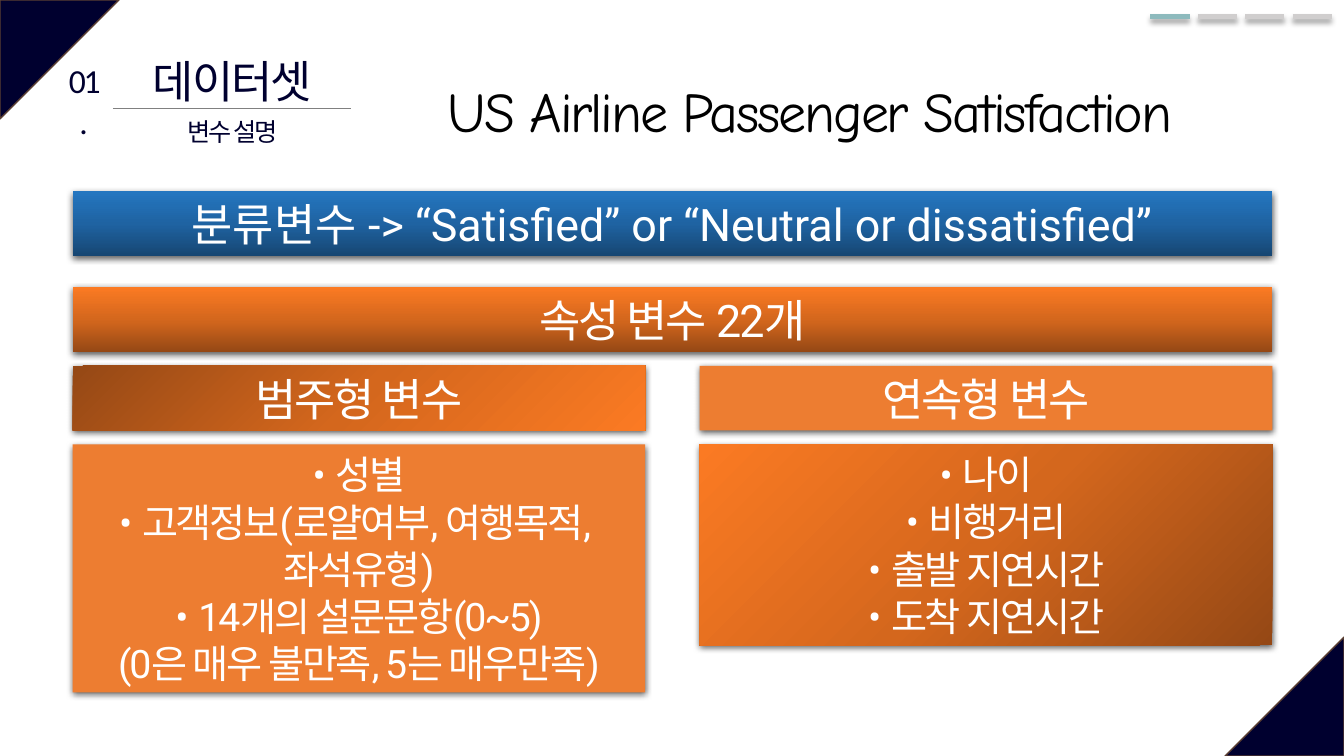
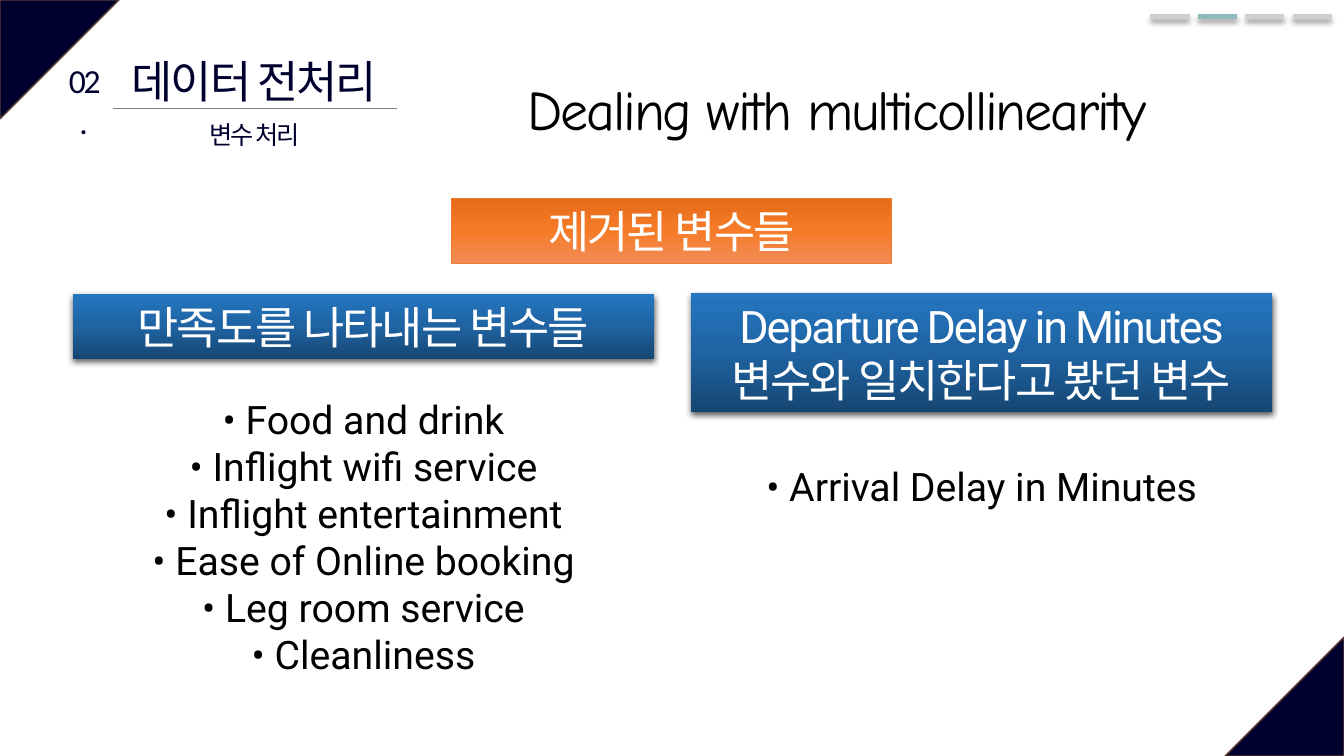
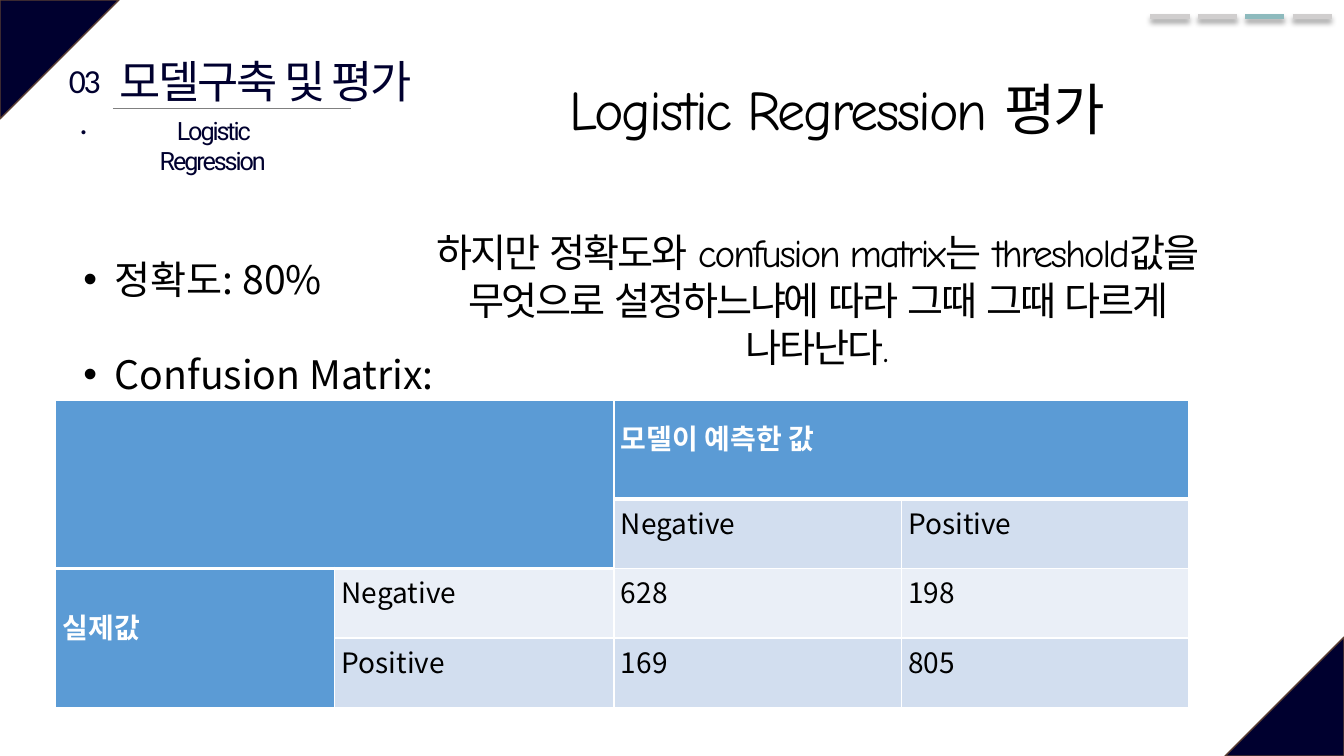
from copy import deepcopy

from lxml.etree import SubElement
from pptx import Presentation
from pptx.dml.color import RGBColor
from pptx.enum.shapes import MSO_CONNECTOR, MSO_SHAPE
from pptx.enum.text import MSO_ANCHOR, PP_ALIGN
from pptx.oxml.ns import qn
from pptx.util import Pt

PX = 9144  # EMU in one px, 100 px to the inch


class Theme:
    navy, brown, gray = "00002F", "5B3F33", "808080"
    tick_on, tick_off = "8DBABD", "D0CECE"
    black, white, orange = "000000", "FFFFFF", "ED7D31"
    blue_grad = ("164672", "1F63A2", "2476C0")
    orange_grad = ("954815", "D4671D", "FB7A23")
    soft_grad = ("F18C57", "F67B28", "E56C19")
    table_head, table_dark, table_light = "5B9BD5", "D2DEEF", "EAEFF7"
    body_font, title_font, table_font = "Roboto", "Comic Neue", "Noto Sans CJK KR"
    section_font, number_font = "Arial Narrow", "Calibri"
    title, bar, body, number, cell, sub = 40, 32, 28, 24, 20, 18
    tight = -1.5
    bar_shadow, tick_shadow = (63, 4.5, 1.5), (40, 4, 3)


def write(tf, lines, size, color, font=Theme.body_font, spacing=Theme.tight,
          align=PP_ALIGN.CENTER, bold=False):
    """Fill a text frame; a line is a string or a list of (text, letter spacing)."""
    tf.word_wrap = True
    for i, line in enumerate(lines):
        p = tf.add_paragraph() if i else tf.paragraphs[0]
        p.alignment = align
        for text, spc in [(line, spacing)] if isinstance(line, str) else line:
            r = p.add_run()
            r.text = text
            r.font.size, r.font.name, r.font.bold = Pt(size), font, bold
            r.font.color.rgb = RGBColor.from_string(color)
            rPr = r.font._element
            rPr.set("spc", str(int(spc * 100)))
            SubElement(rPr, qn("a:ea")).set("typeface", font)


def set_shadow(sp, shadow=None):
    """Drop a shadow of (opacity %, blur pt, distance pt) straight down, or none."""
    effects = SubElement(sp._element.spPr, qn("a:effectLst"))
    if shadow:
        alpha, blur, dist = shadow
        outer = SubElement(effects, qn("a:outerShdw"), blurRad=str(Pt(blur)),
                           dist=str(Pt(dist)), dir="5400000", algn="ctr", rotWithShape="0")
        clr = SubElement(outer, qn("a:srgbClr"), val=Theme.black)
        SubElement(clr, qn("a:alpha"), val=str(alpha * 1000))


prs = Presentation()
prs.slide_width, prs.slide_height = 1333 * PX, 750 * PX
slides = [prs.slides.add_slide(prs.slide_layouts[6]) for _ in range(3)]
data_slide, prep_slide, model_slide = slides

# Corners, progress ticks and section header
headers = [
    # section, its x and width, rule end, subtitle, its x, y and width, title, its x and y
    ("데이터셋", 135, 191, 348, "변수 설명", 171, 110, 119,
     "US Airline Passenger Satisfaction", 380, 71),
    ("데이터 전처리", 111, 283, 394, "변수 처리", 193, 113, 119,
     "Dealing with multicollinearity", 407, 69),
    ("모델구축 및 평가", 95, 337, 348, "Logistic Regression", 112, 109, 198,
     "Logistic Regression 평가", 407, 69),
]
for i, (s, header) in enumerate(zip(slides, headers)):
    (section, section_x, section_w, rule_end,
     sub, sub_x, sub_y, sub_w, title, title_x, title_y) = header

    for x, y, angle in [(0, 0, 90), (1215, 632, 270)]:
        sp = s.shapes.add_shape(MSO_SHAPE.ISOSCELES_TRIANGLE, x * PX, y * PX, 118 * PX, 118 * PX)
        sp.adjustments[0] = 0
        sp.rotation = angle
        sp.fill.solid()
        sp.fill.fore_color.rgb = RGBColor.from_string(Theme.navy)
        sp.line.color.rgb = RGBColor.from_string(Theme.brown)
        sp.line.width = Pt(1)
        set_shadow(sp)

    rules = [(112, rule_end, 108, Theme.gray, 0.5, None)]
    for tick in range(4):
        x = 1141 + 47 * tick
        color = Theme.tick_on if tick == i else Theme.tick_off
        rules.append((x, x + 39, 16, color, 3.5, Theme.tick_shadow))
    for x1, x2, y, color, width, shadow in rules:
        line = s.shapes.add_connector(MSO_CONNECTOR.STRAIGHT, x1 * PX, y * PX, x2 * PX, y * PX)
        line.line.color.rgb = RGBColor.from_string(color)
        line.line.width = Pt(width)
        set_shadow(line, shadow)

    for text, x, y, w, h, size, color, font in [
        (section, section_x, 48, section_w, 64, Theme.bar, Theme.navy, Theme.section_font),
        (f"0{i + 1}.", 57, 55, 52, 50, Theme.number, Theme.navy, Theme.number_font),
        (sub, sub_x, sub_y, sub_w, 40, Theme.sub, Theme.navy, Theme.body_font),
        (title, title_x, title_y, 847, 77, Theme.title, Theme.black, Theme.title_font),
    ]:
        sp = s.shapes.add_textbox(x * PX, y * PX, w * PX, h * PX)
        write(sp.text_frame, [text], size, color, font)

# Filled bars and boxes of the first two slides
category_lines = [
    [("• ", 0), ("성별", Theme.tight)],
    [("• ", 0), ("고객정보(로얄여부, 여행목적, ", Theme.tight)],
    "좌석유형)",
    [("• ", 0), ("14개의 설문문항(0~5)", Theme.tight)],
    "(0은 매우 불만족, 5는 매우만족)",
]
continuous_lines = [[("• ", 0), (name, Theme.tight)]
                    for name in ("나이", "비행거리", "출발 지연시간", "도착 지연시간")]
target_line = [("분류변수 -> “Satisfied” or “Neutral or dissatisfied”", 0)]
bars = [
    # slide, x, y, w, h, fill, gradient angle, size, lines
    (data_slide, 72, 190, 1190, 64, Theme.blue_grad, 90, Theme.bar, [target_line]),
    (data_slide, 72, 285, 1190, 64, Theme.orange_grad, 90, Theme.bar, ["속성 변수 22개"]),
    (data_slide, 72, 363, 568, 64, Theme.orange_grad, 315, Theme.bar, ["범주형 변수"]),
    (data_slide, 72, 441, 568, 246, Theme.orange, None, Theme.body, category_lines),
    (data_slide, 694, 363, 568, 64, Theme.orange, None, Theme.bar, ["연속형 변수"]),
    (data_slide, 694, 441, 568, 199, Theme.orange_grad, 135, Theme.body, continuous_lines),
    (prep_slide, 448, 197, 436, 64, Theme.soft_grad, 90, Theme.bar, ["제거된 변수들"]),
    (prep_slide, 72, 292, 577, 64, Theme.blue_grad, 90, Theme.bar, ["만족도를 나타내는 변수들"]),
    (prep_slide, 685, 291, 577, 118, Theme.blue_grad, 90, Theme.bar,
     ["Departure Delay in Minutes", "변수와 일치한다고 봤던 변수"]),
]
for s, x, y, w, h, fill, angle, size, lines in bars:
    sp = s.shapes.add_shape(MSO_SHAPE.RECTANGLE, x * PX, y * PX, w * PX, h * PX)
    if angle is None:
        sp.fill.solid()
        sp.fill.fore_color.rgb = RGBColor.from_string(fill)
    else:
        sp.fill.gradient()
        sp.fill.gradient_angle = angle
        stops = sp._element.spPr.find(qn("a:gradFill")).find(qn("a:gsLst"))
        stops.insert(1, deepcopy(stops[0]))
        for stop, position, color in zip(sp.fill.gradient_stops, (0, 0.5, 1), fill):
            stop.position = position
            stop.color.rgb = RGBColor.from_string(color)
    if fill == Theme.soft_grad:
        sp.line.color.rgb = RGBColor.from_string(Theme.orange)
        sp.line.width = Pt(0.5)
        set_shadow(sp)
    else:
        sp.line.fill.background()
        set_shadow(sp, Theme.bar_shadow)
    sp.text_frame.vertical_anchor = MSO_ANCHOR.MIDDLE
    write(sp.text_frame, lines, size, Theme.white)

# Removed variables
satisfaction = ["Food and drink", "Inflight wifi service", "Inflight entertainment",
                "Ease of Online booking", "Leg room service", "Cleanliness"]
for x, y, w, h, names in [(97, 387, 527, 293, satisfaction),
                          (719, 454, 509, 57, ["Arrival Delay in Minutes"])]:
    sp = prep_slide.shapes.add_textbox(x * PX, y * PX, w * PX, h * PX)
    write(sp.text_frame, [f"• {name}" for name in names], Theme.body, Theme.black, spacing=0)

# Model results
sp = model_slide.shapes.add_textbox(73 * PX, 248 * PX, 550 * PX, 151 * PX)
write(sp.text_frame, ["정확도: 80%", "Confusion Matrix:"], Theme.body, Theme.black,
      Theme.table_font, 0, PP_ALIGN.LEFT)
for i, p in enumerate(sp.text_frame.paragraphs):
    p.line_spacing = Pt(34)
    p.space_before = Pt(34 * i)
    pPr = p._p.get_or_add_pPr()
    pPr.set("marL", str(31 * PX))
    pPr.set("indent", str(-31 * PX))
    SubElement(pPr, qn("a:buFont")).set("typeface", "Arial")
    SubElement(pPr, qn("a:buChar")).set("char", "•")

sp = model_slide.shapes.add_textbox(387 * PX, 222 * PX, 847 * PX, 151 * PX)
write(sp.text_frame,
      ["하지만 정확도와 confusion matrix는 threshold값을 무엇으로 설정하느냐에 "
       "따라 그때 그때 다르게 나타난다."],
      Theme.body, Theme.black, Theme.title_font)

# Confusion matrix
matrix = [
    ["", "", "모델이 예측한 값", ""],
    ["", "", "Negative", "Positive"],
    ["실제값", "Negative", "628", "198"],
    ["", "Positive", "169", "805"],
]
head_cells = {(0, 0), (0, 1), (0, 2), (0, 3), (1, 0), (1, 1), (2, 0), (3, 0)}
thick_below = {(0, 2), (0, 3), (1, 0), (1, 1)}
tbl = model_slide.shapes.add_table(4, 4, 55 * PX, 397 * PX, 1124 * PX, 305 * PX).table
tbl.first_row = tbl.horz_banding = False
for col, width in zip(tbl.columns, (277, 277, 285, 285)):
    col.width = width * PX
for row, height in zip(tbl.rows, (98, 69, 69, 69)):
    row.height = height * PX
for first, last in [((0, 0), (1, 1)), ((0, 2), (0, 3)), ((2, 0), (3, 0))]:
    tbl.cell(*first).merge(tbl.cell(*last))

for r, values in enumerate(matrix):
    for c, value in enumerate(values):
        cell = tbl.cell(r, c)
        head = (r, c) in head_cells
        cell.vertical_anchor = MSO_ANCHOR.MIDDLE
        cell.margin_left = cell.margin_right = 7 * PX
        cell.margin_top = cell.margin_bottom = 0
        tcPr = cell._tc.get_or_add_tcPr()
        for side, thick in [("L", False), ("R", False), ("T", (r - 1, c) in thick_below),
                            ("B", (r, c) in thick_below)]:
            ln = SubElement(tcPr, qn(f"a:ln{side}"), w=str(Pt(3 if thick else 1)))
            SubElement(SubElement(ln, qn("a:solidFill")), qn("a:srgbClr"), val=Theme.white)
        band = Theme.table_light if r == 2 else Theme.table_dark
        cell.fill.solid()
        cell.fill.fore_color.rgb = RGBColor.from_string(Theme.table_head if head else band)
        if value:
            write(cell.text_frame, [value], Theme.cell, Theme.white if head else Theme.black,
                  Theme.table_font, 0, PP_ALIGN.LEFT, head)
            p = cell.text_frame.paragraphs[0]
            p.line_spacing, p.space_before = Pt(12), Pt(6)

prs.save("out.pptx")
